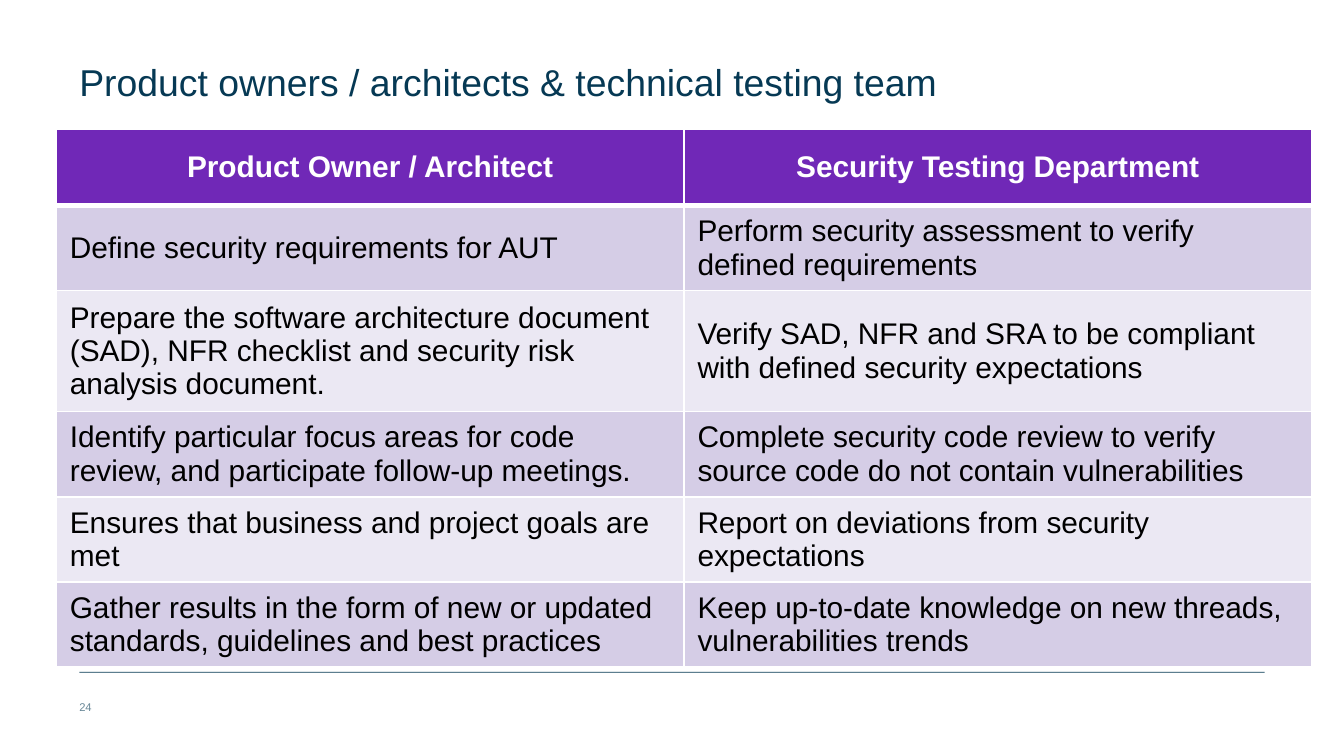
from lxml import etree
from pptx import Presentation
from pptx.dml.color import RGBColor
from pptx.enum.shapes import MSO_SHAPE
from pptx.enum.text import MSO_ANCHOR, PP_ALIGN
from pptx.oxml.ns import qn
from pptx.util import Inches, Pt

RECTANGLE = MSO_SHAPE.RECTANGLE
MIDDLE = MSO_ANCHOR.MIDDLE
TOP = MSO_ANCHOR.TOP
CENTER = PP_ALIGN.CENTER
LEFT = PP_ALIGN.LEFT

COLORS = {
    "navy": "063954",
    "slate": "698898",
    "purple": "7028B7",
    "lilac": "D5CDE6",
    "pale": "EBE8F3",
    "white": "FFFFFF",
    "black": "000000",
}
MARGIN = 0.59


def style_font(font, size, color, bold=False):
    font.name = "Arial"
    font.size = Pt(size)
    font.bold = bold
    font.color.rgb = RGBColor.from_string(COLORS[color])


def add_label(page, text, left, top, width, height, size, color):
    box = page.shapes.add_textbox(Inches(left), Inches(top), Inches(width), Inches(height))
    frame = box.text_frame
    frame.word_wrap = True
    frame.vertical_anchor = TOP
    frame.margin_left = frame.margin_right = frame.margin_top = frame.margin_bottom = 0
    para = frame.paragraphs[0]
    para.text = text
    style_font(para.font, size, color)
    return para


deck = Presentation()
deck.slide_width = Inches(10)
deck.slide_height = Inches(10) * 9 // 16
page = deck.slides.add_slide(deck.slide_layouts[6])

footer_rule = page.shapes.add_shape(
    RECTANGLE, Inches(MARGIN), Inches(5), Inches(10 - 2 * MARGIN), Pt(0.3)
)
footer_rule.shadow.inherit = False
footer_rule.fill.solid()
footer_rule.fill.fore_color.rgb = RGBColor.from_string(COLORS["navy"])
footer_rule.line.fill.background()

add_label(page, "24", MARGIN, 5.21, 0.2, 0.1, 6, "slate")
title = add_label(
    page, "Product owners / architects & technical testing team",
    MARGIN, 0.41, 7.57, 1.09, 20, "navy",
)
title.line_spacing = 1.1

rows = [
    ("Product Owner / Architect", "Security Testing Department"),
    ("Define security requirements for AUT",
     "Perform security assessment to verify defined requirements"),
    ("Prepare the software architecture document (SAD), NFR checklist and security risk analysis document.",
     "Verify SAD, NFR and SRA to be compliant with defined security expectations"),
    ("Identify particular focus areas for code review, and participate follow-up meetings.",
     "Complete security code review to verify source code do not contain vulnerabilities"),
    ("Ensures that business and project goals are met",
     "Report on deviations from security expectations"),
    ("Gather results in the form of new or updated standards, guidelines and best practices",
     "Keep up-to-date knowledge on new threads, vulnerabilities trends"),
]
row_height = 0.57
table = page.shapes.add_table(
    len(rows), 2, Inches(0.42), Inches(0.96), Inches(9.34), Inches(row_height * len(rows))
).table

for row_index, texts in enumerate(rows):
    table.rows[row_index].height = Inches(row_height)
    is_header = row_index == 0
    band = "purple" if is_header else ("pale", "lilac")[row_index % 2]
    for column_index, text in enumerate(texts):
        cell = table.cell(row_index, column_index)
        cell.vertical_anchor = MIDDLE
        cell.fill.solid()
        cell.fill.fore_color.rgb = RGBColor.from_string(COLORS[band])
        para = cell.text_frame.paragraphs[0]
        para.alignment = CENTER if is_header else LEFT
        span = para.add_run()
        span.text = text
        style_font(span.font, 16, "white" if is_header else "black", is_header)

        properties = cell._tc.get_or_add_tcPr()
        for position, side in enumerate(("L", "R", "T", "B")):
            thick = (is_header and side == "B") or (row_index == 1 and side == "T")
            border = etree.Element(qn(f"a:ln{side}"), w=str(Pt(3 if thick else 1)))
            fill = etree.SubElement(border, qn("a:solidFill"))
            etree.SubElement(fill, qn("a:srgbClr"), val=COLORS["white"])
            properties.insert(position, border)

deck.save("out.pptx")
